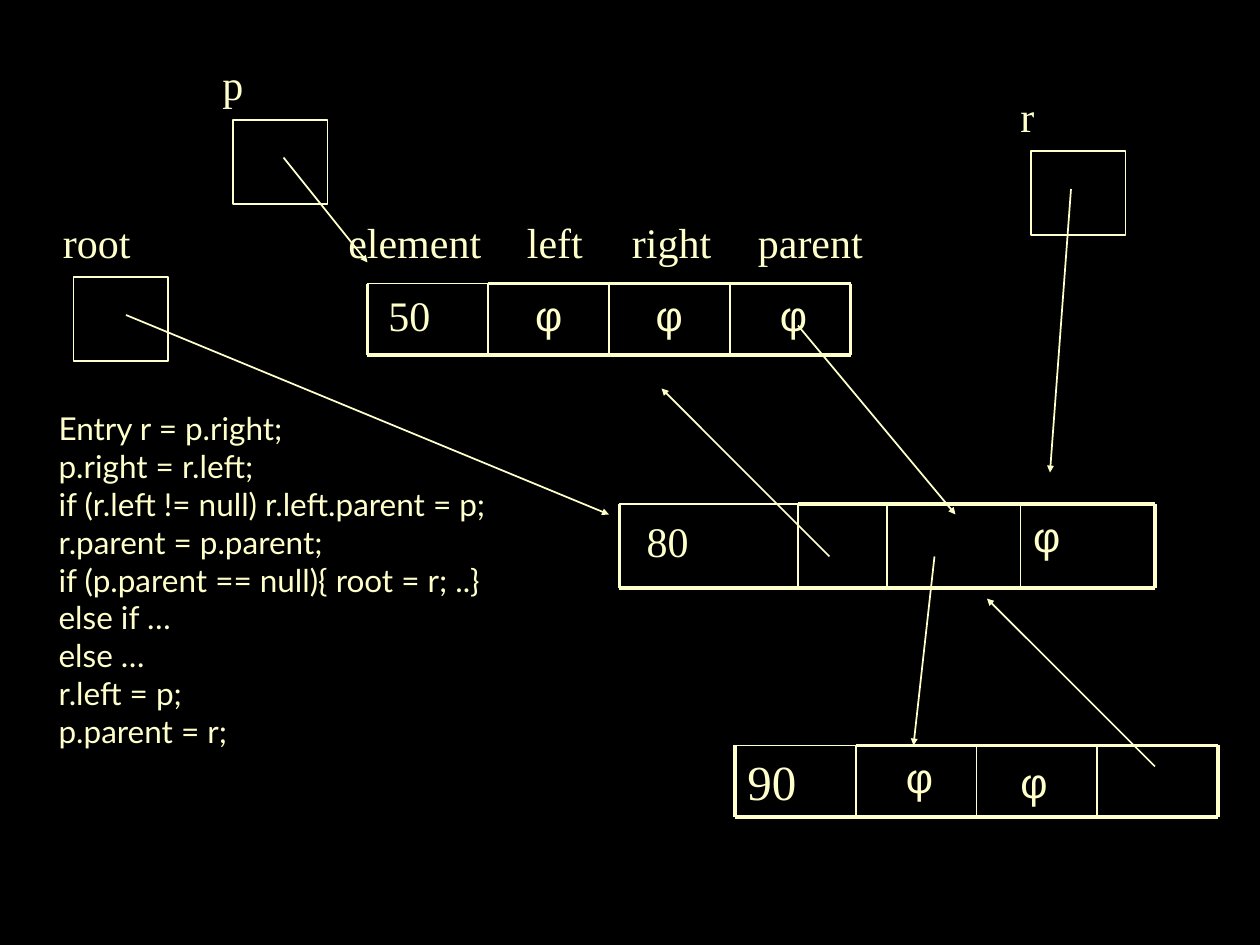
from dataclasses import dataclass
from itertools import accumulate

from lxml.etree import SubElement
from pptx import Presentation
from pptx.dml.color import RGBColor
from pptx.enum.shapes import MSO_CONNECTOR, MSO_SHAPE
from pptx.enum.text import MSO_AUTO_SIZE, PP_ALIGN
from pptx.oxml.ns import qn
from pptx.util import Emu, Pt


@dataclass(frozen=True)
class Theme:
    background: RGBColor = RGBColor(0x00, 0x00, 0x00)
    ink: RGBColor = RGBColor(0xFF, 0xFF, 0xCC)
    serif: str = "Times New Roman"
    symbol: str = "Arial"
    code: str = "Lato"
    label_size: int = 24
    big_size: int = 28
    code_size: int = 18
    thin: float = 1
    thick: float = 2.25


THEME = Theme()
EMU_PER_PX = 7620  # 120 px to the inch
PHI = "φ"

CODE = [
    "Entry r = p.right;",
    "p.right = r.left;",
    "if (r.left != null) r.left.parent = p;",
    "r.parent = p.parent;",
    "if (p.parent == null){ root = r; ..}",
    "else if …",
    "else …",
    "r.left = p;",
    "p.parent = r;",
]


def px(n):
    return Emu(n * EMU_PER_PX)


def add_text(s, lines, x, y, w, h, font=THEME.serif, size=THEME.label_size,
             align=PP_ALIGN.LEFT, wrap=False):
    sp = s.shapes.add_textbox(px(x), px(y), px(w), px(h))
    tf = sp.text_frame
    tf.word_wrap = wrap
    tf.auto_size = MSO_AUTO_SIZE.NONE if wrap else MSO_AUTO_SIZE.SHAPE_TO_FIT_TEXT
    for i, line in enumerate(lines):
        p = tf.add_paragraph() if i else tf.paragraphs[0]
        p.alignment = align
        r = p.add_run()
        r.text = line
        r.font.name = font
        r.font.size = Pt(size)
        r.font.color.rgb = THEME.ink


def add_phi(s, x, y, w=44, h=49, **options):
    add_text(s, [PHI], x, y, w, h, font=THEME.symbol, **options)


def add_line(s, x1, y1, x2, y2, width=THEME.thin):
    line = s.shapes.add_connector(MSO_CONNECTOR.STRAIGHT, px(x1), px(y1), px(x2), px(y2))
    line.line.color.rgb = THEME.ink
    line.line.width = Pt(width)
    SubElement(line._element.spPr, qn("a:effectLst"))
    return line


def add_arrow(s, x1, y1, x2, y2):
    line = add_line(s, x1, y1, x2, y2)
    SubElement(line.line._get_or_add_ln(), qn("a:tailEnd"), type="triangle", w="sm", len="sm")


def add_record(s, x, y, h, widths):
    """Draw a row of cells: thick frame, thin dividers, thin top on the first cell."""
    edges = list(accumulate(widths, initial=x))
    right, bottom = edges[-1], y + h
    add_line(s, x, y, edges[1], y)
    add_line(s, edges[1], y, right, y, THEME.thick)
    add_line(s, x, bottom, right, bottom, THEME.thick)
    for edge in edges:
        outer = edge in (x, right)
        add_line(s, edge, y, edge, bottom, THEME.thick if outer else THEME.thin)


def add_variable(s, name, x, y, label_width, start, target):
    """Draw a named reference box and the arrow to the record it points at."""
    add_text(s, [name], x, y, label_width, 56)
    sp = s.shapes.add_shape(MSO_SHAPE.RECTANGLE, px(x + 22), px(y + 64), px(90), px(80))
    sp.shadow.inherit = False
    sp.fill.background()
    sp.line.color.rgb = THEME.ink
    sp.line.width = Pt(THEME.thin)
    add_arrow(s, *start, *target)


def main():
    prs = Presentation()
    prs.slide_width, prs.slide_height = px(1200), px(900)
    s = prs.slides.add_slide(prs.slide_layouts[6])
    s.background.fill.solid()
    s.background.fill.fore_color.rgb = THEME.background

    for name, x, w in [("element", 320, 156), ("left", 490, 80),
                       ("right", 590, 104), ("parent", 710, 128)]:
        add_text(s, [name], x, 200, w, 56)

    add_record(s, 350, 270, 68, [115] * 4)
    add_text(s, ["50"], 358, 270, 64, 56)
    for x in (465, 580):
        add_phi(s, x, 270, 115, 68, align=PP_ALIGN.CENTER, wrap=True)
    add_phi(s, 731, 270)

    add_record(s, 590, 480, 80, [170, 85, 127, 128])
    add_text(s, ["80"], 604, 485, 64, 56)
    add_phi(s, 972, 480, 128, 80, wrap=True)

    add_record(s, 700, 710, 68, [115] * 4)
    add_text(s, ["90"], 700, 710, 115, 68, size=THEME.big_size, wrap=True)
    add_phi(s, 851, 710)
    add_phi(s, 960, 715)

    add_variable(s, "root", 48, 200, 88, (120, 300), (580, 490))
    add_variable(s, "p", 200, 50, 43, (270, 150), (350, 250))
    add_variable(s, "r", 960, 80, 37, (1020, 180), (1000, 450))

    for ends in [(790, 530, 630, 370), (760, 310, 910, 490),
                 (890, 530, 870, 710), (1100, 730, 940, 570)]:
        add_arrow(s, *ends)

    add_text(s, CODE, 44, 384, 462, 379, font=THEME.code, size=THEME.code_size)
    prs.save("out.pptx")


if __name__ == "__main__":
    main()
